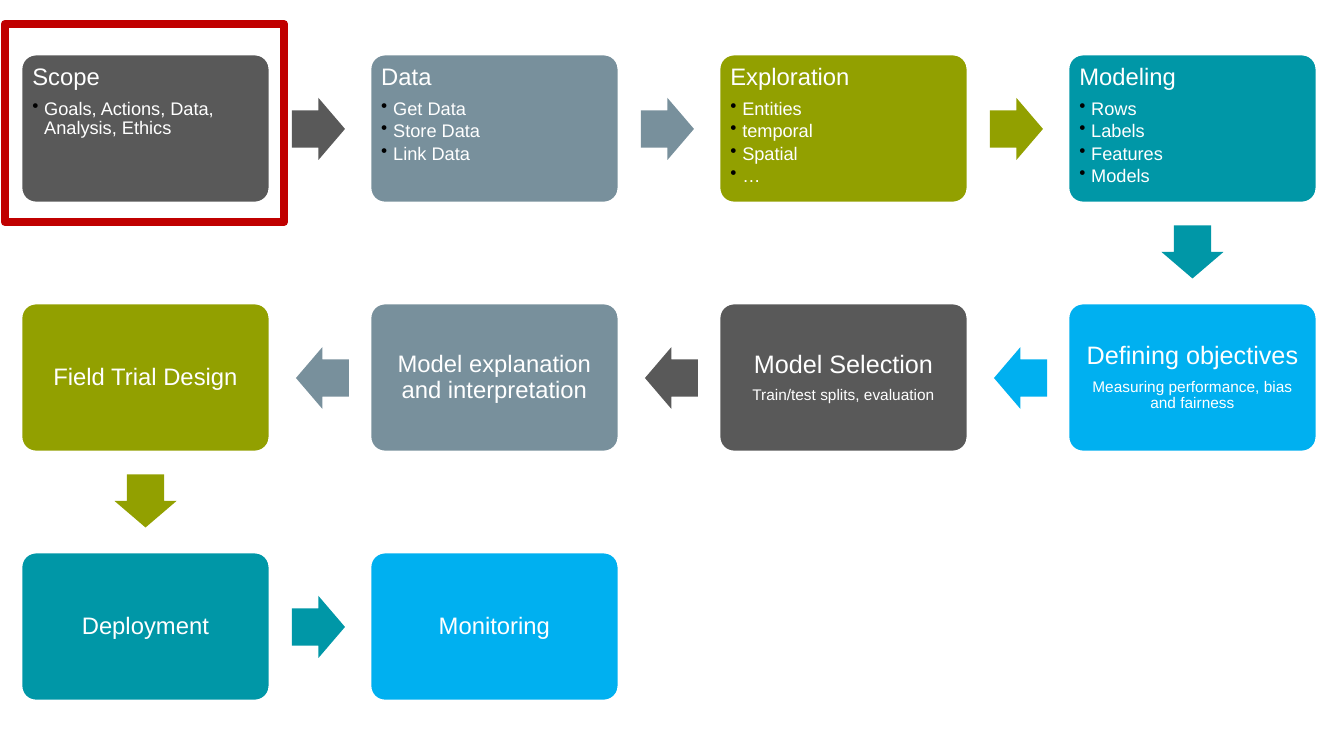
from lxml import etree
from pptx import Presentation
from pptx.dml.color import RGBColor
from pptx.enum.shapes import MSO_SHAPE
from pptx.enum.text import MSO_ANCHOR, PP_ALIGN
from pptx.oxml.ns import qn
from pptx.util import Emu, Pt

ROUNDED, ARROW, RECT = (MSO_SHAPE.ROUNDED_RECTANGLE, MSO_SHAPE.RIGHT_ARROW,
                        MSO_SHAPE.RECTANGLE)
TOP, MIDDLE = MSO_ANCHOR.TOP, MSO_ANCHOR.MIDDLE
LEFT, CENTER = PP_ALIGN.LEFT, PP_ALIGN.CENTER

WHITE = RGBColor(0xFF, 0xFF, 0xFF)
RED = RGBColor(0xC0, 0x00, 0x00)
GREY = RGBColor(0x59, 0x59, 0x59)
SLATE = RGBColor(0x78, 0x90, 0x9C)
OLIVE = RGBColor(0x92, 0xA0, 0x00)
TEAL = RGBColor(0x00, 0x97, 0xA7)
BLUE = RGBColor(0x00, 0xB0, 0xF0)
PALETTE = [GREY, SLATE, OLIVE, TEAL, BLUE]
BULLET_COLOR = "000000"
FONT = "Arial"

# Grid of cards
COLUMNS = 4
GRID_X, GRID_Y = 21, 54
PITCH_X, PITCH_Y = 349, 249
CARD_W, CARD_H = 249, 149
ARROW_W, ARROW_H = 53, 62

# Step (columns, rows) to the next card: arrow offset from the card, rotation
ARROWS = {(1, 0): (271, 44, 0), (-1, 0): (-74, 44, 180), (0, 1): (98, 167, 90)}

# Title, title size, bullets, subtitle
STEPS = [
    ("Scope", 17, ["Goals, Actions, Data, Analysis, Ethics"], None),
    ("Data", 17, ["Get Data", "Store Data", "Link Data"], None),
    ("Exploration", 17, ["Entities", "temporal", "Spatial", "…"], None),
    ("Modeling", 17, ["Rows", "Labels", "Features", "Models"], None),
    ("Defining objectives", 18, [], "Measuring performance, bias and fairness"),
    ("Model Selection", 18, [], "Train/test splits, evaluation"),
    ("Model explanation and interpretation", 17, [], None),
    ("Field Trial Design", 17, [], None),
    ("Deployment", 17, [], None),
    ("Monitoring", 17, [], None),
]


def px(n):
    return Emu(round(n * 914400 / 100.8))


def grid_cell(i):
    """Column and row of a step; every second row runs right to left."""
    row, k = divmod(i, COLUMNS)
    return (COLUMNS - 1 - k if row % 2 else k), row


def add_box(slide, kind, x, y, w, h, fill=None, line=None, line_pt=0):
    s = slide.shapes.add_shape(kind, px(x), px(y), px(w), px(h))
    s.shadow.inherit = False
    if fill is None:
        s.fill.background()
    else:
        s.fill.solid()
        s.fill.fore_color.rgb = fill
    if line is None:
        s.line.fill.background()
    else:
        s.line.color.rgb = line
        s.line.width = Pt(line_pt)
    return s


def format_paragraph(p, size, align, after):
    p.alignment = align
    p.line_spacing = 0.9
    p.space_after = Pt(after)
    for r in p.runs:
        r.font.name = FONT
        r.font.size = Pt(size)
        r.font.color.rgb = WHITE


def add_bullet(p):
    p.level = 1
    pPr = p._p.get_or_add_pPr()
    pPr.set("marL", str(px(12)))
    pPr.set("indent", str(-px(12)))
    color = etree.SubElement(pPr, qn("a:buClr"))
    etree.SubElement(color, qn("a:srgbClr"), val=BULLET_COLOR)
    etree.SubElement(pPr, qn("a:buChar"), char="•")


def add_card(slide, x, y, color, title, size, bullets, subtitle):
    s = add_box(slide, ROUNDED, x, y, CARD_W, CARD_H, color, WHITE, 2)
    s.adjustments[0] = 0.1
    tf = s.text_frame
    tf.word_wrap = True
    tf.margin_left = tf.margin_right = tf.margin_top = tf.margin_bottom = px(7)
    tf.vertical_anchor = TOP if bullets else MIDDLE
    align = LEFT if bullets else CENTER
    tf.text = title
    format_paragraph(tf.paragraphs[0], size, align, 6)
    for bullet in bullets:
        p = tf.add_paragraph()
        p.text = bullet
        format_paragraph(p, 13, align, 2)
        add_bullet(p)
    if subtitle:
        p = tf.add_paragraph()
        p.text = subtitle
        format_paragraph(p, 11, align, 4)


def add_arrow(slide, x, y, color, rotation):
    s = add_box(slide, ARROW, x, y, ARROW_W, ARROW_H, color)
    s.adjustments[0] = 0.6
    s.adjustments[1] = 0.5
    s.rotation = rotation


def main():
    prs = Presentation()
    prs.slide_width, prs.slide_height = px(1344), px(756)
    slide = prs.slides.add_slide(prs.slide_layouts[6])

    # Process steps, each with an arrow to the next one
    for i, step in enumerate(STEPS):
        col, row = grid_cell(i)
        x, y = GRID_X + col * PITCH_X, GRID_Y + row * PITCH_Y
        color = PALETTE[i % len(PALETTE)]
        add_card(slide, x, y, color, *step)
        if i + 1 < len(STEPS):
            next_col, next_row = grid_cell(i + 1)
            dx, dy, rotation = ARROWS[next_col - col, next_row - row]
            add_arrow(slide, x + dx, y + dy, color, rotation)

    # Frame around the current step
    add_box(slide, RECT, 5, 24, 279, 198, line=RED, line_pt=6)

    prs.save("out.pptx")


main()
